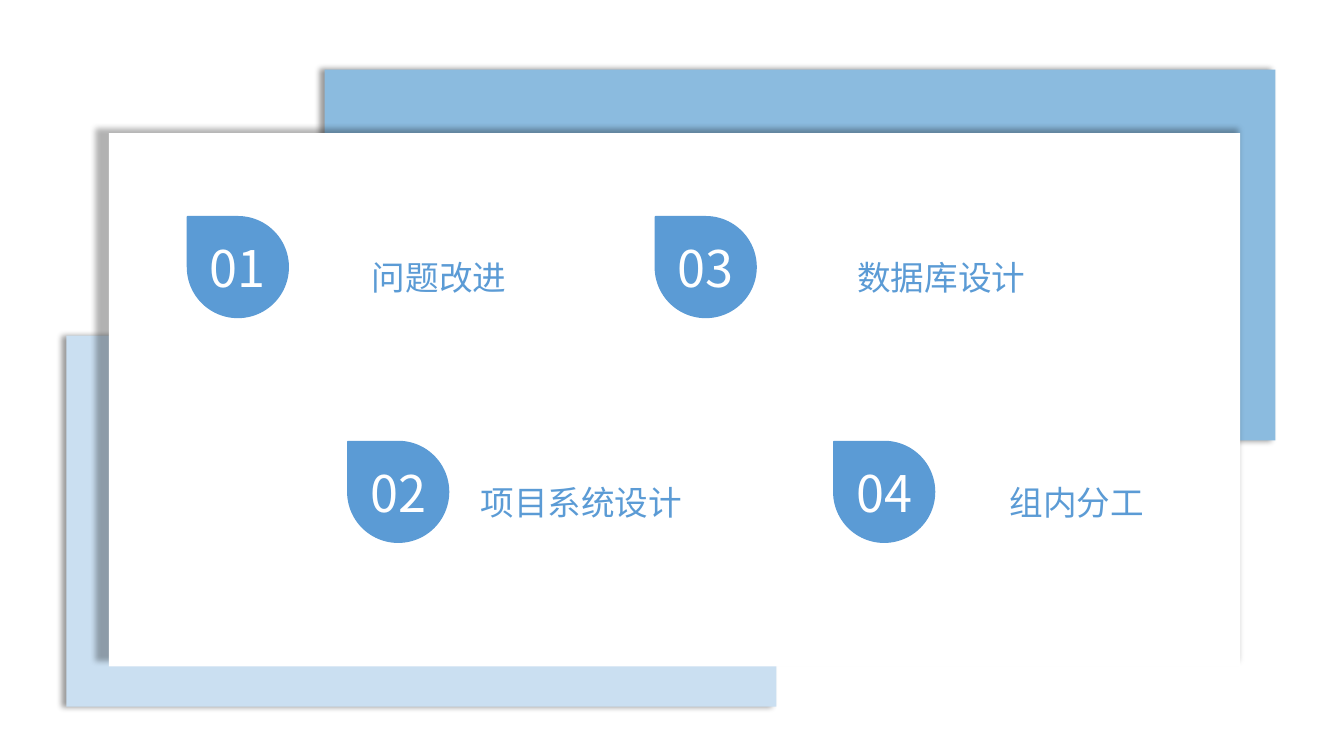
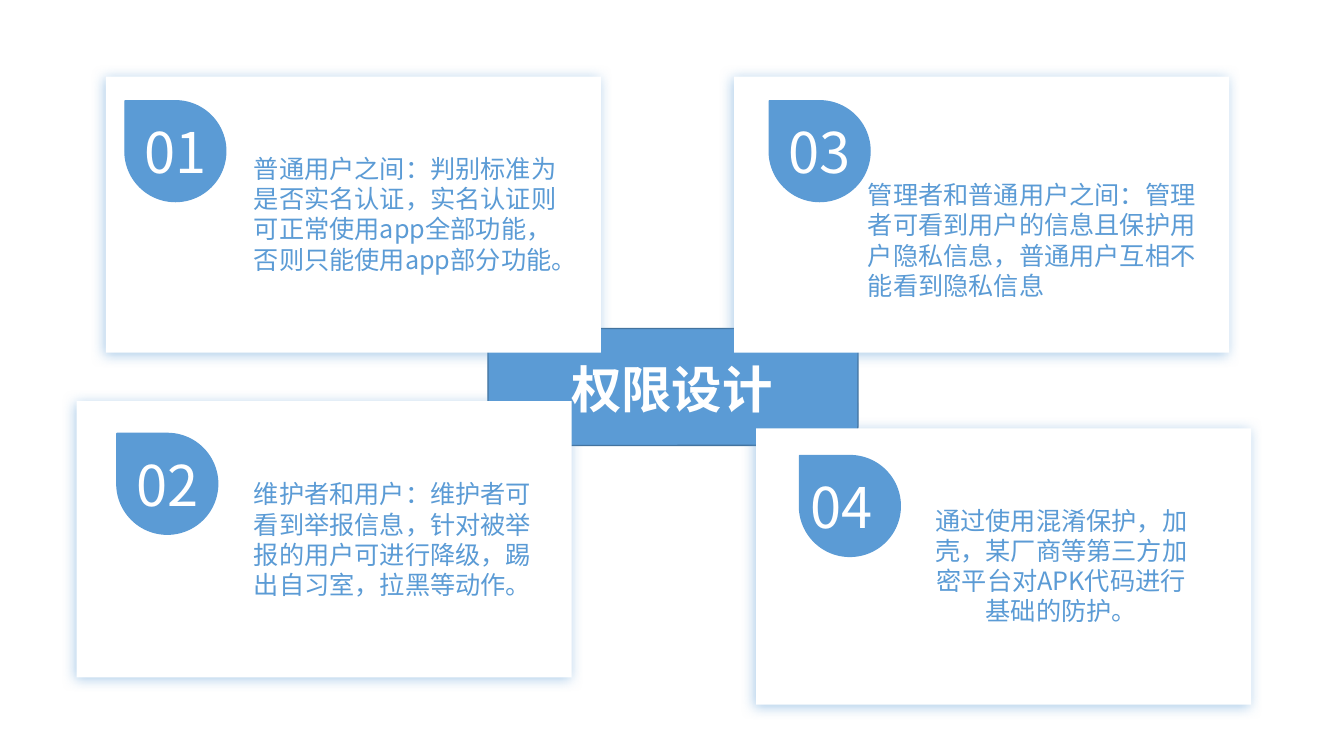
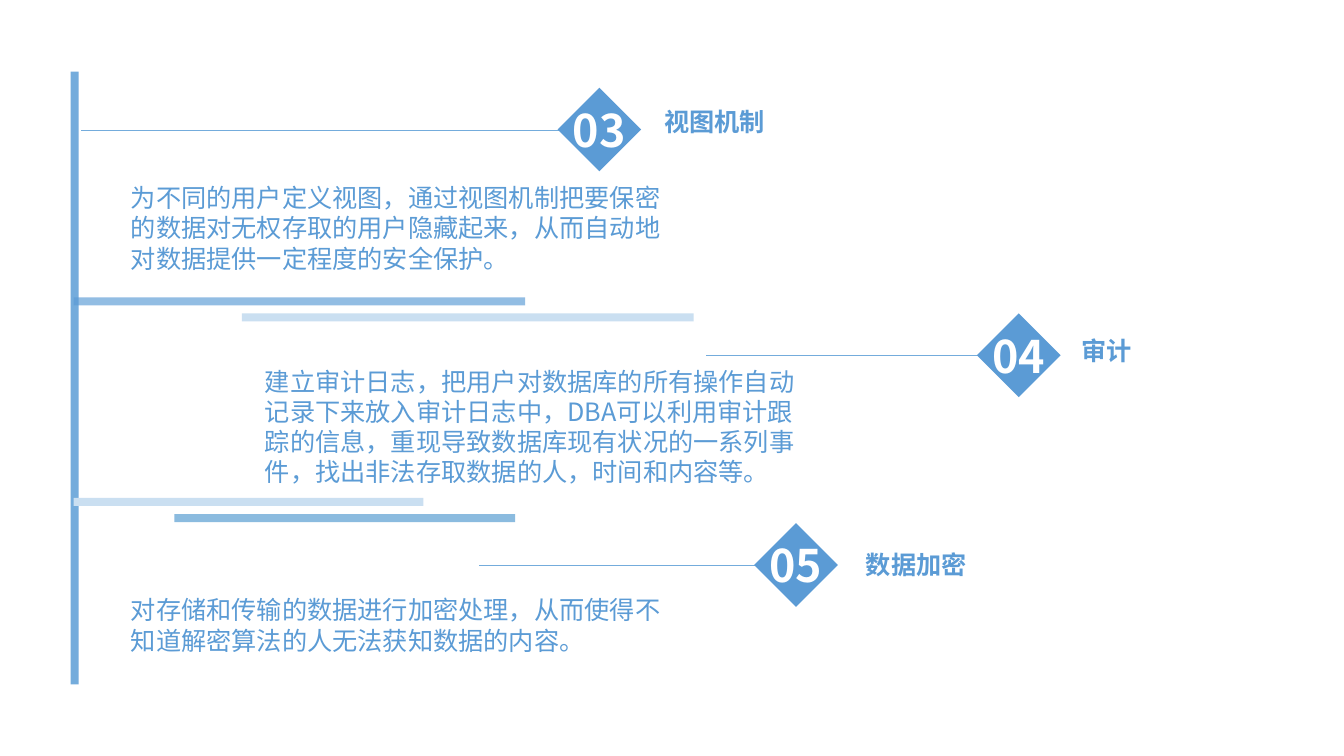
from lxml import etree
from pptx import Presentation
from pptx.dml.color import RGBColor
from pptx.enum.shapes import MSO_CONNECTOR, MSO_SHAPE
from pptx.enum.text import MSO_ANCHOR, MSO_AUTO_SIZE, PP_ALIGN
from pptx.oxml.ns import qn
from pptx.util import Inches, Pt

RECT, ROUND = MSO_SHAPE.RECTANGLE, MSO_SHAPE.ROUNDED_RECTANGLE
DROP, GEM = MSO_SHAPE.TEAR, MSO_SHAPE.DIAMOND
LEFT, MID = PP_ALIGN.LEFT, PP_ALIGN.CENTER
TOP, HALF = MSO_ANCHOR.TOP, MSO_ANCHOR.MIDDLE
FIXED = MSO_AUTO_SIZE.NONE

FONT = "Noto Sans CJK SC"
BLUE, SKY, PALE, RULE = "5B9BD5", "8BBBDF", "CADFF1", "74ACDC"
WHITE, BLACK, EDGE = "FFFFFF", "000000", "43739E"
tint = RGBColor.from_string


def write(shape, text, size=18, color=BLUE, bold=False, align=LEFT,
          anchor=TOP, wrap=True):
    frame = shape.text_frame
    frame.auto_size = FIXED
    frame.word_wrap = wrap
    frame.vertical_anchor = anchor
    para = frame.paragraphs[0]
    para.alignment = align
    para.line_spacing = 1.0
    run = para.add_run()
    run.text = text
    font = run.font
    font.name, font.size, font.bold = FONT, Pt(size), bold
    font.color.rgb = tint(color)
    etree.SubElement(run._r.get_or_add_rPr(), qn("a:ea"), typeface=FONT)


def draw(slide, form, box, fill, line=None, alpha=None, shadow=None):
    """Add a preset shape; shadow is colour, alpha %, blur, distance, angle, width %."""
    shape = slide.shapes.add_shape(form, *map(Inches, box))
    shape.shadow.inherit = False
    shape.fill.solid()
    shape.fill.fore_color.rgb = tint(fill)
    if line:
        shape.line.color.rgb = tint(line)
        shape.line.width = Pt(1)
    else:
        shape.line.fill.background()
    props = shape.element.spPr
    if alpha:
        color = props.find(qn("a:solidFill")).find(qn("a:srgbClr"))
        etree.SubElement(color, qn("a:alpha"), val=str(alpha * 1000))
    if shadow:
        shade, part, blur, dist, angle, wide = shadow
        outer = etree.SubElement(
            props.find(qn("a:effectLst")), qn("a:outerShdw"),
            blurRad=str(Pt(blur)), dist=str(Pt(dist)), dir=str(angle * 60000),
            sx=str(wide * 1000), algn="r", rotWithShape="0")
        color = etree.SubElement(outer, qn("a:srgbClr"), val=shade)
        etree.SubElement(color, qn("a:alpha"), val=str(part * 1000))
    if form == DROP:
        props.find(qn("a:xfrm")).set("flipH", "1")
    frame = shape.text_frame
    frame.margin_left = frame.margin_right = 0
    frame.margin_top = frame.margin_bottom = 0
    return shape


deck = Presentation()
deck.slide_width, deck.slide_height = Inches(13.33), Inches(7.5)
TITLED, BLANK = deck.slide_layouts[5], deck.slide_layouts[6]

# Contents
slide = deck.slides.add_slide(BLANK)
soft = (BLACK, 40, 4, 3, 180, 100)
draw(slide, RECT, (0.66, 3.33, 7.04, 3.68), PALE, shadow=soft)
draw(slide, RECT, (3.22, 0.69, 9.43, 3.68), SKY, shadow=soft)
draw(slide, RECT, (1.08, 1.32, 11.22, 5.29), WHITE,
     shadow=(BLACK, 30, 4, 3, 256, 101))

topics = [
    ("01", 1.86, 2.15, "问题改进", 3.04, 2.63),
    ("02", 3.45, 4.38, "项目系统设计", 4.34, 2.85),
    ("03", 6.5, 2.15, "数据库设计", 7.92, 2.83),
    ("04", 8.27, 4.38, "组内分工", 9.38, 2.6),
]
for num, x, y, topic, left, wide in topics:
    drop = draw(slide, DROP, (x, y, 1, 1), BLUE, line=BLUE)
    write(drop, num, size=36, color=WHITE, align=MID, anchor=HALF, wrap=False)
    label = slide.shapes.add_textbox(
        Inches(left), Inches(y + 0.35), Inches(wide), Inches(0.5))
    write(label, topic, size=24, align=MID)

# Permission design
slide = deck.slides.add_slide(TITLED)
draw(slide, ROUND, (4.84, 3.26, 3.67, 1.16), BLUE, line=EDGE)
glow = (BLUE, 49, 9, 2, 134, 100)
cards = [
    ("01", 1.05, 0.76, 1.24, 1, 2.42, 1.47, 3.25, LEFT, 0,
     "普通用户之间：判别标准为是否实名认证，实名认证则可正常使用app全部功能，"
     "否则只能使用app部分功能。"),
    ("02", 0.76, 3.98, 1.16, 4.3, 2.42, 4.7, 3.03, LEFT, 0,
     "维护者和用户：维护者可看到举报信息，针对被举报的用户可进行降级，"
     "踢出自习室，拉黑等动作。"),
    ("03", 7.28, 0.76, 7.63, 1, 8.51, 1.73, 3.46, LEFT, 0,
     "管理者和普通用户之间：管理者可看到用户的信息且保护用户隐私信息，"
     "普通用户互相不能看到隐私信息"),
    ("04", 7.5, 4.25, 7.93, 4.52, 9.08, 4.96, 2.89, MID, 0.17,
     "通过使用混淆保护，加壳，某厂商等第三方加密平台对APK代码进行基础的防护。"),
]
for num, x, y, dx, dy, left, top, wide, align, inset, words in cards:
    draw(slide, RECT, (x, y, 4.91, 2.74), WHITE, shadow=glow)
    body = slide.shapes.add_textbox(
        Inches(left), Inches(top), Inches(wide), Inches(1.31))
    write(body, words, align=align)
    drop = draw(slide, DROP, (dx, dy, 1, 1), BLUE, line=BLUE)
    drop.text_frame.margin_right = Inches(inset)
    write(drop, num, size=40, color=WHITE, align=MID, anchor=HALF, wrap=False)

title = slide.shapes.title
title.left, title.top = Inches(5.56), Inches(3.5)
title.width, title.height = Inches(2.21), Inches(0.71)
write(title, "权限设计", size=36, color=WHITE, bold=True, align=MID,
      anchor=HALF, wrap=False)
# The title lies over the cards
title.element.getparent().append(title.element)

# Security measures
slide = deck.slides.add_slide(BLANK)
draw(slide, RECT, (0.7, 0.71, 0.08, 6.08), RULE)
bars = [
    (0.73, 2.95, 4.48, BLUE, 66),
    (2.4, 3.11, 4.48, PALE, None),
    (0.73, 4.94, 3.47, PALE, None),
    (1.73, 5.1, 3.38, SKY, None),
]
for x, y, wide, fill, alpha in bars:
    draw(slide, RECT, (x, y, wide, 0.08), fill, alpha=alpha)

steps = [
    ("03", 5.53, 0.87, 0.8, "视图机制", 6.49, 1.01, 1.2, 1.76, 1.01,
     "为不同的用户定义视图，通过视图机制把要保密的数据对无权存取的用户隐藏起来，"
     "从而自动地对数据提供一定程度的安全保护。"),
    ("04", 9.69, 3.11, 7, "审计", 10.63, 3.28, 2.53, 3.58, 1.31,
     "建立审计日志，把用户对数据库的所有操作自动记录下来放入审计日志中，"
     "DBA可以利用审计跟踪的信息，重现导致数据库现有状况的一系列事件，"
     "找出非法存取数据的人，时间和内容等。"),
    ("05", 7.48, 5.19, 4.75, "数据加密", 8.49, 5.4, 1.2, 5.85, 0.71,
     "对存储和传输的数据进行加密处理，从而使得不知道解密算法的人无法获知数据的内容。"),
]
for num, x, y, start, head, hx, hy, left, top, high, words in steps:
    level = Inches(y + 0.42)
    link = slide.shapes.add_connector(
        MSO_CONNECTOR.STRAIGHT, Inches(x + 0.03), level, Inches(start), level)
    link.line.color.rgb = tint(RULE)
    link.line.width = Pt(0.5)
    etree.SubElement(link.element.spPr, qn("a:effectLst"))
    gem = draw(slide, GEM, (x, y, 0.83, 0.83), BLUE)
    write(gem, num, size=32, color=WHITE, bold=True, align=MID, anchor=HALF,
          wrap=False)
    label = slide.shapes.add_textbox(
        Inches(hx), Inches(hy), Inches(2.66), Inches(0.4))
    write(label, head, bold=True)
    body = slide.shapes.add_textbox(
        Inches(left), Inches(top), Inches(5.54), Inches(high))
    write(body, words)

deck.save("out.pptx")
